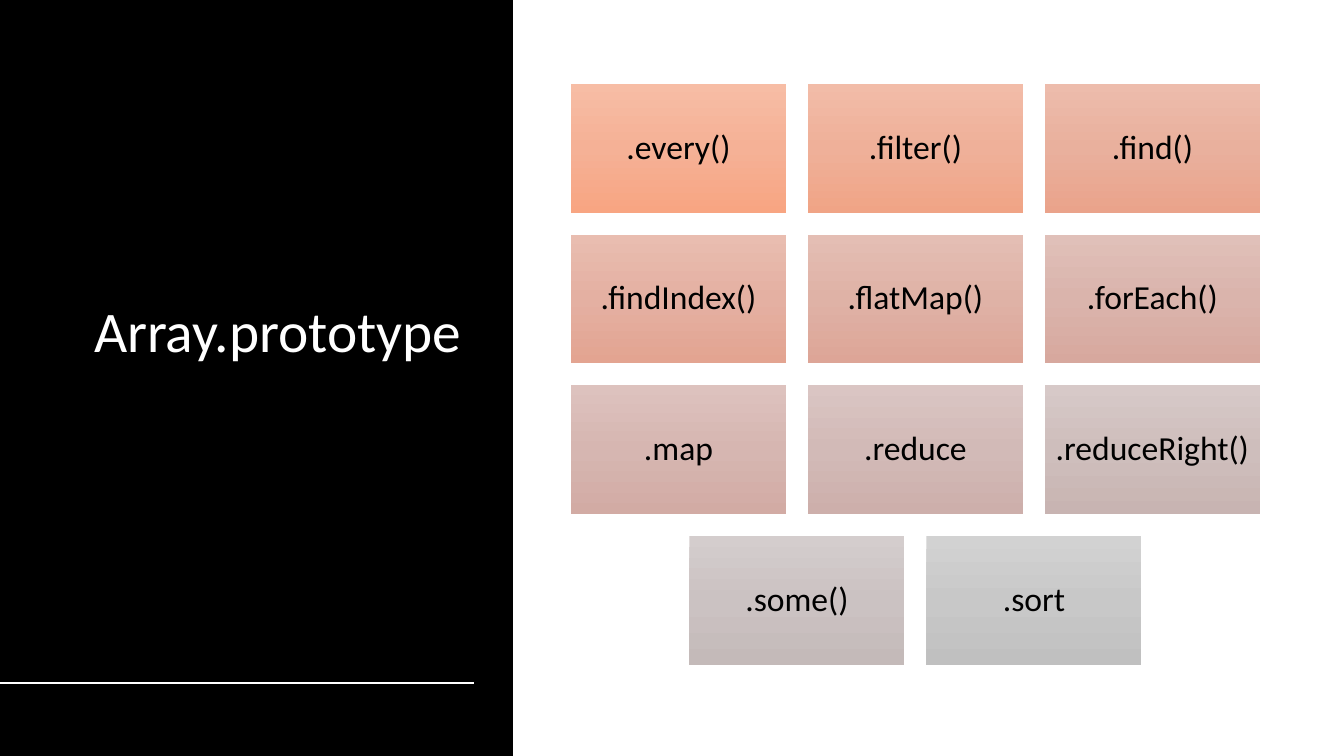
from copy import deepcopy

from pptx import Presentation
from pptx.dml.color import RGBColor
from pptx.enum.shapes import MSO_CONNECTOR as CONNECTOR, MSO_SHAPE as SHAPE
from pptx.enum.text import MSO_ANCHOR as ANCHOR, PP_ALIGN as ALIGN
from pptx.oxml.ns import qn
from pptx.util import Pt

EMU_PER_PX = 914400 / 100.8
FONT = "Calibri"
COLORS = {"panel": "000000", "title": "FFFFFF", "rule": "FFFFFF", "method": "000000"}
COLUMNS = 3
GAP = 22
METHODS = [
    (".every()", ("F7BDA5", "F5B196", "F8A582")),
    (".filter()", ("F2BCA8", "EFB099", "F0A486")),
    (".find()", ("EDBCAC", "E9B09D", "EAA38B")),
    (".findIndex()", ("E9BDB0", "E4B0A2", "E3A491")),
    (".flatMap()", ("E4BEB4", "DFB2A6", "DDA597")),
    (".forEach()", ("E0C0B9", "DAB4AC", "D7A89E")),
    (".map", ("DDC2BE", "D6B6B1", "D2ABA4")),
    (".reduce", ("DAC5C3", "D2BAB7", "CDAFAB")),
    (".reduceRight()", ("D7C9C8", "CEBEBC", "C8B4B2")),
    (".some()", ("D4CDCD", "CBC2C2", "C4BAB9")),
    (".sort", ("D2D2D2", "C8C8C8", "C0C0C0")),
]


def px(*lengths):
    return [round(length * EMU_PER_PX) for length in lengths]


def rgb(name):
    return RGBColor.from_string(COLORS[name])


def add_rect(slide, box):
    rect = slide.shapes.add_shape(SHAPE.RECTANGLE, *px(*box))
    rect.shadow.inherit = False
    rect.line.fill.background()
    return rect


def write(frame, words, size, color, align, inset):
    frame.word_wrap = True
    frame.vertical_anchor = ANCHOR.MIDDLE
    [margin] = px(inset)
    frame.margin_left = frame.margin_right = margin
    frame.margin_top = frame.margin_bottom = margin
    paragraph = frame.paragraphs[0]
    paragraph.alignment = align
    paragraph.line_spacing = 0.9
    run = paragraph.add_run()
    run.text = words
    run.font.name = FONT
    run.font.size = Pt(size)
    run.font.color.rgb = rgb(color)


def fill_gradient(shape, hexes):
    shape.fill.gradient()
    shape.fill.gradient_angle = 270
    stops = shape._element.spPr.find(qn("a:gradFill")).find(qn("a:gsLst"))
    stops.insert(1, deepcopy(stops[0]))
    for stop, position, color in zip(shape.fill.gradient_stops, (0, 0.5, 1), hexes):
        stop.position = position
        stop.color.rgb = RGBColor.from_string(color)


def add_title_panel(slide, left, top, width, height):
    panel = add_rect(slide, (left, top, width, height))
    panel.fill.solid()
    panel.fill.fore_color.rgb = rgb("panel")

    title = slide.shapes.add_textbox(*px(left + 84, top + 61, width - 120, height - 210))
    write(title.text_frame, "Array.prototype", 41, "title", ALIGN.LEFT, 10)

    rule_y = top + height - 73
    rule = slide.shapes.add_connector(
        CONNECTOR.STRAIGHT, *px(left, rule_y, left + width - 39, rule_y))
    rule.line.color.rgb = rgb("rule")
    rule.line.width = Pt(2)
    properties = rule._element.spPr
    properties.append(properties.makeelement(qn("a:effectLst"), {}))


def add_method_grid(slide, left, top, width, height):
    rows = [METHODS[i:i + COLUMNS] for i in range(0, len(METHODS), COLUMNS)]
    tile_width = (width - GAP * (COLUMNS - 1)) / COLUMNS
    tile_height = (height - GAP * (len(rows) - 1)) / len(rows)
    for row_index, row in enumerate(rows):
        row_width = len(row) * (tile_width + GAP) - GAP
        row_left = left + (width - row_width) / 2
        tile_top = top + row_index * (tile_height + GAP)
        for column, (method, hexes) in enumerate(row):
            tile_left = row_left + column * (tile_width + GAP)
            tile = add_rect(slide, (tile_left, tile_top, tile_width, tile_height))
            fill_gradient(tile, hexes)
            write(tile.text_frame, method, 24, "method", ALIGN.CENTER, 9)


def main():
    deck = Presentation()
    deck.slide_width, deck.slide_height = px(1344, 756)
    slide = deck.slides.add_slide(deck.slide_layouts[6])
    add_title_panel(slide, 0, 0, 513, 756)
    add_method_grid(slide, 571, 84, 689, 581)
    deck.save("out.pptx")


if __name__ == "__main__":
    main()
